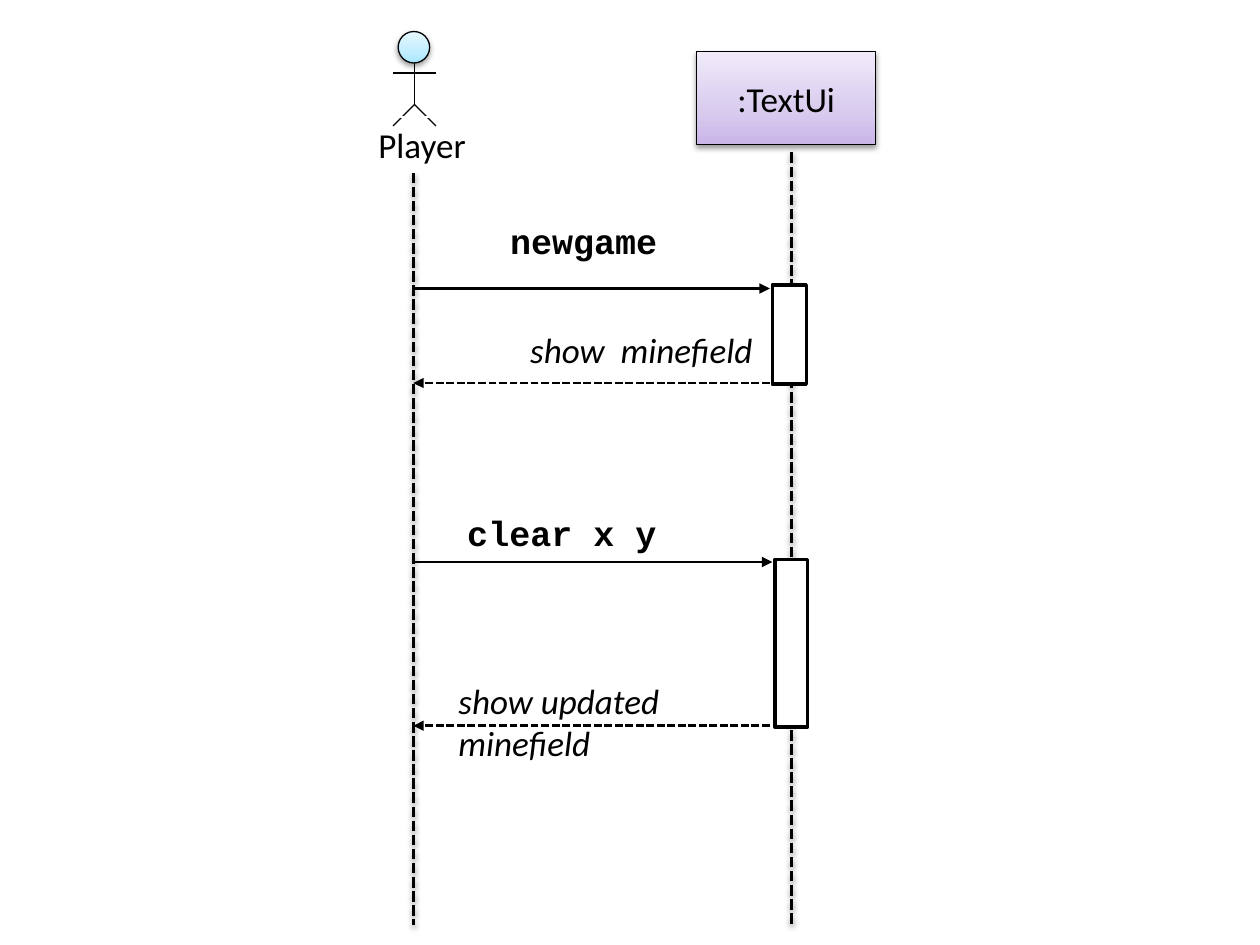
from dataclasses import dataclass
from copy import deepcopy

from lxml import etree
from pptx import Presentation
from pptx.dml.color import RGBColor
from pptx.enum.dml import MSO_LINE
from pptx.enum.shapes import MSO_CONNECTOR, MSO_SHAPE
from pptx.enum.text import MSO_ANCHOR, PP_ALIGN
from pptx.oxml.ns import qn
from pptx.util import Inches, Pt

DASH = MSO_LINE.SQUARE_DOT
STRAIGHT = MSO_CONNECTOR.STRAIGHT
RECT, OVAL = MSO_SHAPE.RECTANGLE, MSO_SHAPE.OVAL
TOP, MIDDLE = MSO_ANCHOR.TOP, MSO_ANCHOR.MIDDLE
LEFT, CENTER = PP_ALIGN.LEFT, PP_ALIGN.CENTER

BLACK = RGBColor(0x00, 0x00, 0x00)
WHITE = RGBColor(0xFF, 0xFF, 0xFF)
VIOLET = [RGBColor(0xC9, 0xB5, 0xE8), RGBColor(0xD8, 0xCB, 0xEE), RGBColor(0xF0, 0xEA, 0xF9)]
SKY = [RGBColor(0xA7, 0xE6, 0xFF), RGBColor(0xC1, 0xED, 0xFF), RGBColor(0xE7, 0xF8, 0xFF)]
STOPS = [0, 0.35, 1]
SANS, MONO = "Calibri", "Courier New"

# Grid of 100 columns by 75 rows
WIDTH, HEIGHT = Inches(10), Inches(7.5)
CELL = WIDTH // 100
USER, UI = 32.8, 62.8  # columns of the two lifelines
END = 73.4             # row where the lifelines stop


@dataclass
class Box:
    col: float
    row: float
    wide: float
    high: float

    def place(self) -> list[int]:
        return [cells(n) for n in (self.col, self.row, self.wide, self.high)]


@dataclass
class Message:
    text: str
    box: Box
    start: float
    end: float
    row: float
    reply: bool = False


MESSAGES = [
    Message("newgame", Box(39.5, 16.9, 15.8, 4.4), USER, 61.1, 22.9),
    Message("show  minefield", Box(41.1, 25.6, 20, 4.4), 61.1, USER, 30.4, True),
    Message("clear x y", Box(36.1, 40.1, 30.1, 4.4), USER, 61.3, 44.6),
    Message("show updated minefield", Box(35.4, 53.4, 24.7, 7.7), 61.1, USER, 57.6, True),
]
BARS = [Box(61.3, 22.6, 2.7, 7.9), Box(61.5, 44.4, 2.6, 13.3)]


def cells(count: float) -> int:
    return round(count * CELL)


def shade(item, cast: bool) -> None:
    """Give the item a soft shadow, or none."""
    effect = etree.SubElement(item._element.spPr, qn("a:effectLst"))
    if cast:
        drop = etree.SubElement(effect, qn("a:outerShdw"), blurRad="40000",
                                dist="20000", dir="5400000", rotWithShape="0")
        tint = etree.SubElement(drop, qn("a:srgbClr"), val=str(BLACK))
        etree.SubElement(tint, qn("a:alpha"), val="38000")


def blend(shape, colors: list[RGBColor]) -> None:
    """Fill from bottom to top with three colours."""
    fill = shape.fill
    fill.gradient()
    fill.gradient_angle = 90
    stops = shape._element.spPr.find(".//" + qn("a:gsLst"))
    stops.append(deepcopy(stops[-1]))
    for stop, share, color in zip(fill.gradient_stops, STOPS, colors):
        stop.position = share
        stop.color.rgb = color


def draw_line(shapes, x1: float, y1: float, x2: float, y2: float, weight: float,
              dashed: bool = False, arrow: bool = False, cast: bool = False) -> None:
    link = shapes.add_connector(STRAIGHT, *[cells(n) for n in (x1, y1, x2, y2)])
    link.line.color.rgb = BLACK
    link.line.width = Pt(weight)
    if dashed:
        link.line.dash_style = DASH
    if arrow:
        etree.SubElement(link.line._get_or_add_ln(), qn("a:tailEnd"), type="triangle")
    shade(link, cast)


def draw_shape(shapes, kind, box: Box, weight: float, colors: list[RGBColor],
               edge: RGBColor = BLACK):
    """Draw with no fill, one colour, or a blend of three."""
    shape = shapes.add_shape(kind, *box.place())
    if len(colors) == 3:
        blend(shape, colors)
    elif colors:
        shape.fill.solid()
        shape.fill.fore_color.rgb = colors[0]
    else:
        shape.fill.background()
    shape.line.color.rgb = edge
    shape.line.width = Pt(weight)
    shade(shape, len(colors) == 3)
    return shape


def write(shape, text: str, face: str = SANS, bold: bool = False, slant: bool = False,
          align=LEFT, anchor=TOP) -> None:
    frame = shape.text_frame
    frame.word_wrap = True
    frame.vertical_anchor = anchor
    line = frame.paragraphs[0]
    line.text = text
    line.alignment = align
    font = line.font
    font.name, font.size = face, Pt(20)
    font.bold, font.italic = bold, slant
    font.color.rgb = BLACK


def draw_message(shapes, note: Message) -> None:
    draw_line(shapes, note.start, note.row, note.end, note.row, 1.5, note.reply, arrow=True)
    label = shapes.add_textbox(*note.box.place())
    write(label, note.text, SANS if note.reply else MONO, not note.reply, note.reply)


def draw_actor(shapes) -> None:
    group = shapes.add_group_shape().shapes
    mid, arm, hip, foot = 32.9, 1.7, 8.3, 10
    draw_line(group, mid, 4.1, mid, hip, 0.75)
    draw_line(group, mid - arm, 5.8, mid + arm, 5.8, 0.75)
    for side in (-arm, arm):
        draw_line(group, mid, hip, mid + side, foot, 0.75)
    draw_shape(group, OVAL, Box(31.6, 2.5, 2.5, 2.5), 0.75, SKY)


def main() -> None:
    deck = Presentation()
    deck.slide_width, deck.slide_height = WIDTH, HEIGHT
    shapes = deck.slides.add_slide(deck.slide_layouts[6]).shapes

    # Lifelines and the object head
    draw_line(shapes, UI, 12.1, UI, END, 2, dashed=True, cast=True)
    head = draw_shape(shapes, RECT, Box(55.3, 4.1, 14.2, 7.4), 0.75, VIOLET)
    write(head, ":TextUi", align=CENTER, anchor=MIDDLE)
    draw_line(shapes, USER, 13.7, USER, END, 2, dashed=True, cast=True)

    # Messages
    for note in MESSAGES:
        draw_message(shapes, note)

    # Actor, activation bars and actor name
    draw_actor(shapes)
    for bar in BARS:
        draw_shape(shapes, RECT, bar, 2, [WHITE])
    name = draw_shape(shapes, RECT, Box(27.6, 9.3, 11.8, 4.4), 0.75, [], WHITE)
    write(name, "Player", align=CENTER)

    deck.save("out.pptx")


if __name__ == "__main__":
    main()
